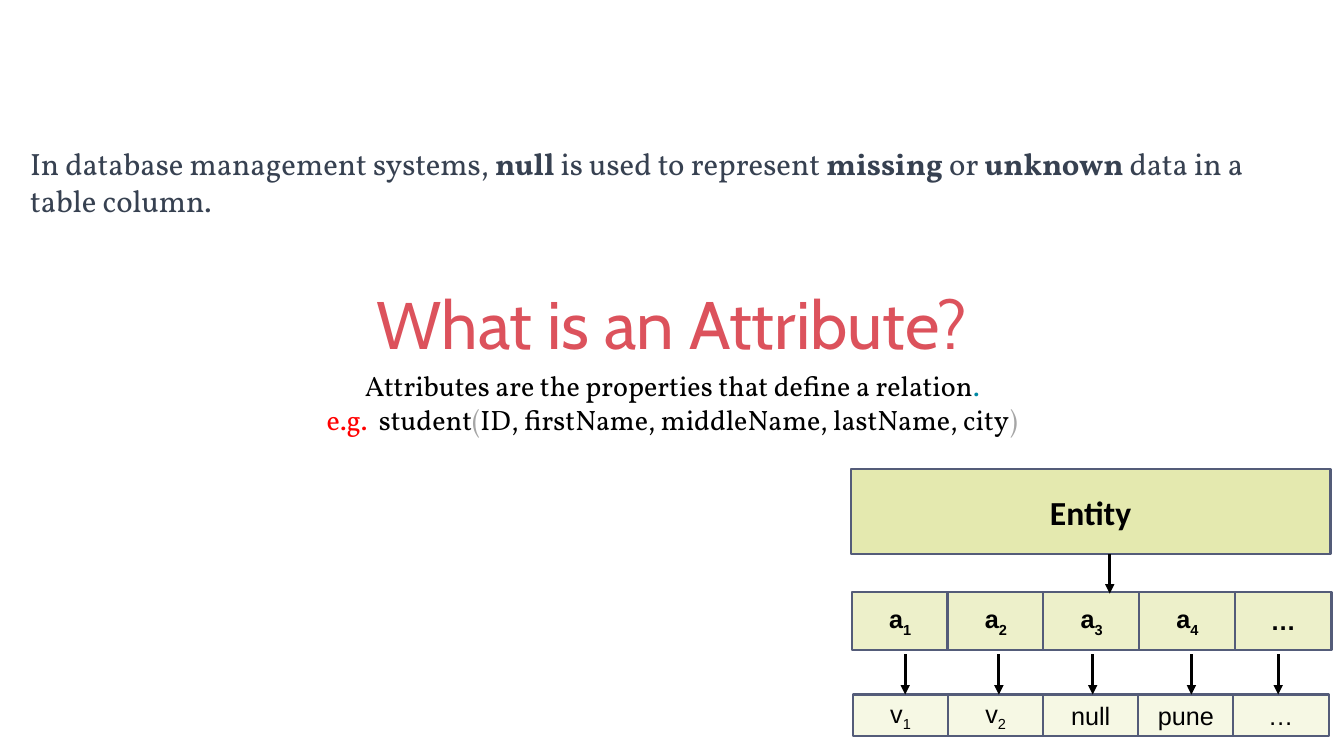
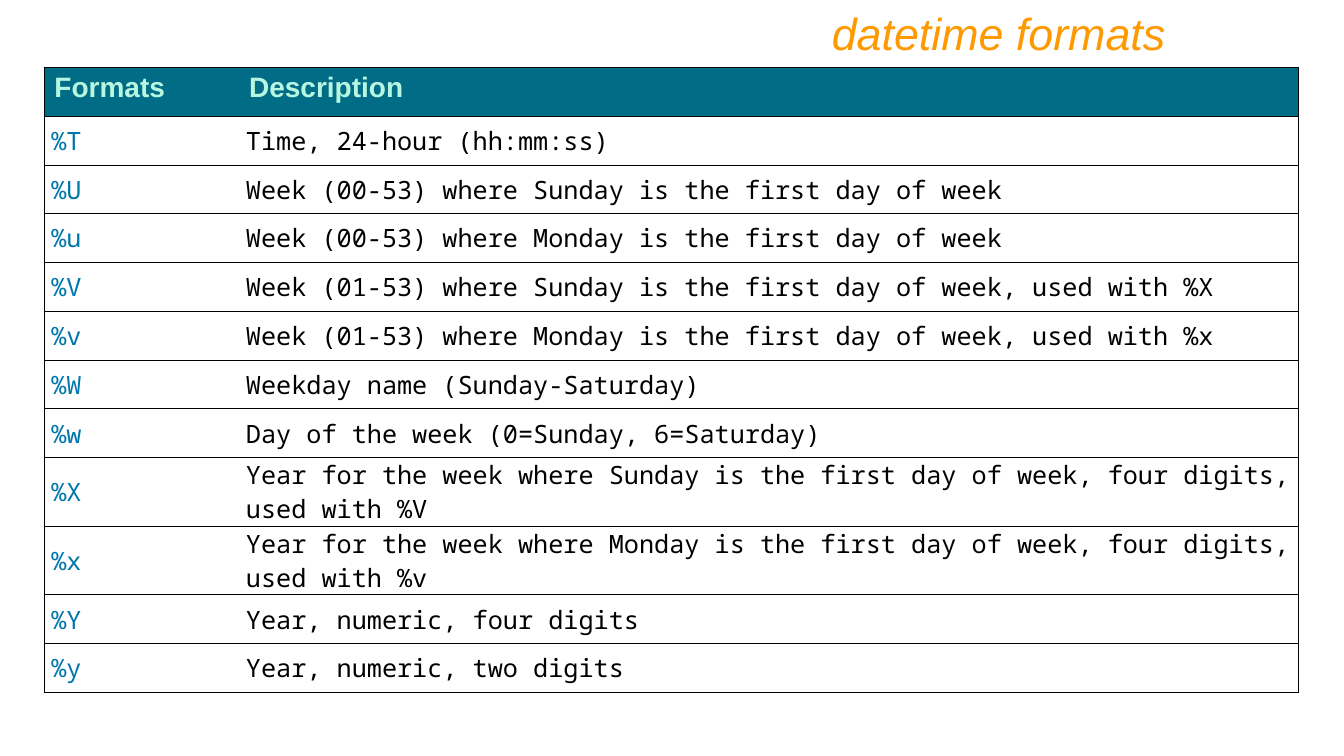
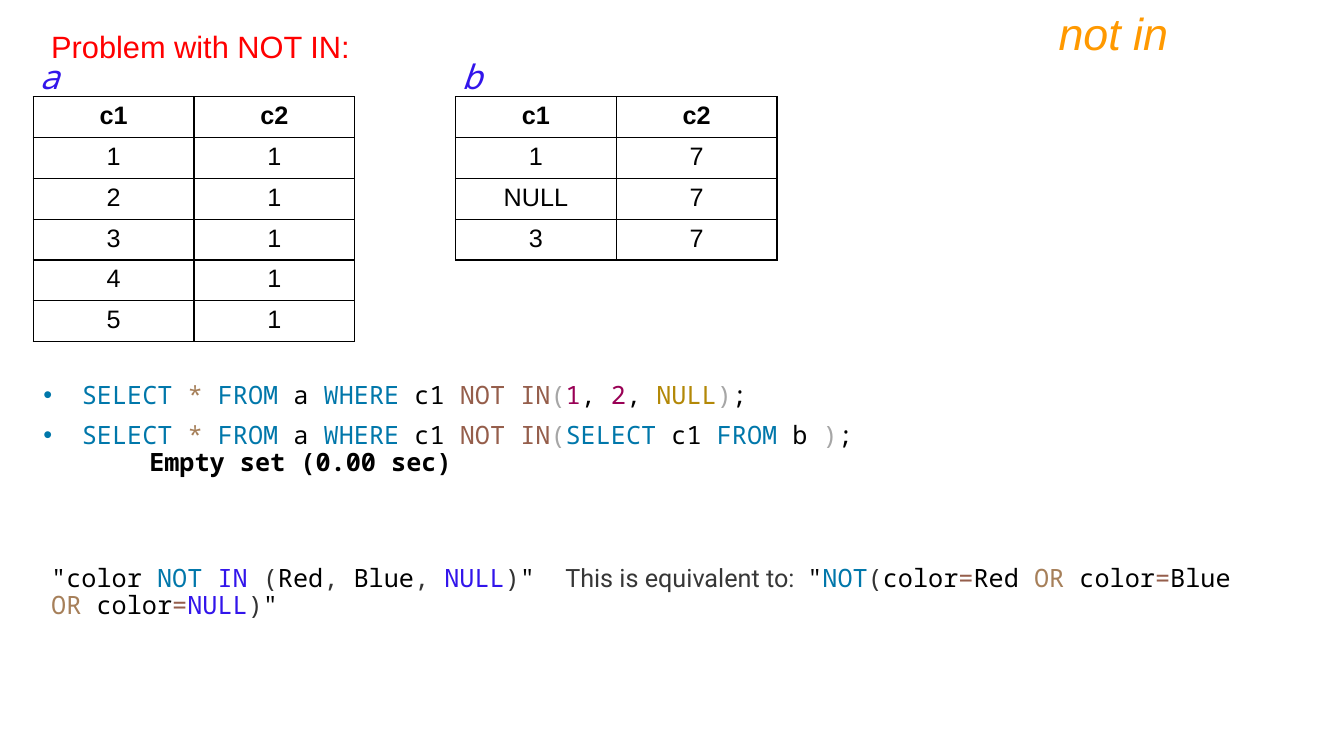
from pptx import Presentation
from pptx.dml.color import RGBColor
from pptx.enum.shapes import MSO_CONNECTOR, MSO_SHAPE
from pptx.enum.text import MSO_ANCHOR, MSO_AUTO_SIZE, PP_ALIGN
from pptx.oxml.ns import qn
from pptx.util import Pt
from lxml import etree

LEFT, CENTER, RIGHT = PP_ALIGN.LEFT, PP_ALIGN.CENTER, PP_ALIGN.RIGHT
TOP, MIDDLE = MSO_ANCHOR.TOP, MSO_ANCHOR.MIDDLE
RECT, STRAIGHT = MSO_SHAPE.RECTANGLE, MSO_CONNECTOR.STRAIGHT
NO_FIT = MSO_AUTO_SIZE.NONE
TITLE_AND_BODY, TITLE_ONLY = 1, 5

COLORS = {
    "black": "000000", "red": "FF0000", "coral": "DC525C", "orange": "FF9900",
    "slate": "374151", "teal": "0089A4", "paren": "A6A6A6", "keyword": "0077AA",
    "star": "A67F59", "operator": "955E4B", "number": "990055", "null": "B38807",
    "violet": "3215EB", "gray": "333333", "prose": "373737",
    "header": "006C86", "header_text": "B7F7E2", "outline": "545C79",
    "entity": "E4E9AF", "attribute": "EDF0CA", "value": "F6F8E4",
}

ARIAL = {"name": "Arial", "size": Pt(18)}
ARIAL_BOLD = {**ARIAL, "bold": True}
MONO = {"name": "Noto Sans Mono", "size": Pt(18)}
LABEL = {"name": "Noto Sans Mono", "size": Pt(24), "italic": True}
SERIF = {"name": "Vollkorn", "size": Pt(20)}
SERIF_LARGE = {"name": "Vollkorn", "size": Pt(22)}
HEADING = {"name": "Cabin", "size": Pt(48)}
TOPIC = {"name": "Arial", "size": Pt(32), "italic": True}
ENTITY = {"name": "Calibri", "size": Pt(24), "bold": True}
TABLE_HEAD = {"name": "Arial", "size": Pt(20), "bold": True}
PROBLEM = {"name": "Arial", "size": Pt(22)}
BOLD = {"bold": True}

NULL_NOTE = [[
    ("In database management systems, ", "slate"), ("null", "slate", BOLD),
    (" is used to represent ", "slate"), ("missing", "slate", BOLD),
    (" or ", "slate"), ("unknown", "slate", BOLD),
    (" data in a table column.", "slate"),
]]
ATTRIBUTE_NOTE = [
    [("Attributes are the properties that define a relation", "black"), (".", "teal")],
    [("e.g.  ", "red"), ("student", "black"), ("(", "paren"),
     ("ID, firstName, middleName, lastName, city", "black"), (")", "paren")],
]
CELL_ROWS = [
    {"labels": ["a1", "a2", "a3", "a4", "…"], "fill": "attribute", "font": ARIAL_BOLD,
     "left": 608.4, "top": 422.6, "step": 68.4, "width": 69.1, "height": 41.8},
    {"labels": ["v1", "v2", "null", "pune", "…"], "fill": "value", "font": ARIAL,
     "left": 609.1, "top": 496.1, "step": 67.9, "width": 68.4, "height": 29.5},
]
ENTITY_ARROW = (792.7, 396, 424)
VALUE_ARROWS = [(x, 467.3, 496.1) for x in (646.6, 713.5, 780.5, 851, 913)]

FORMATS = [
    ("Formats", "Description"),
    ("%T", "Time, 24-hour (hh:mm:ss)"),
    ("%U", "Week (00-53) where Sunday is the first day of week"),
    ("%u", "Week (00-53) where Monday is the first day of week"),
    ("%V", "Week (01-53) where Sunday is the first day of week, used with %X"),
    ("%v", "Week (01-53) where Monday is the first day of week, used with %x"),
    ("%W", "Weekday name (Sunday-Saturday)"),
    ("%w", "Day of the week (0=Sunday, 6=Saturday)"),
    ("%X", "Year for the week where Sunday is the first day of week, four digits, used with %V"),
    ("%x", "Year for the week where Monday is the first day of week, four digits, used with %v"),
    ("%Y", "Year, numeric, four digits"),
    ("%y", "Year, numeric, two digits"),
]

TABLES = [
    ("a", 20.9, 23.8, [("c1", "c2"), ("1", "1"), ("2", "1"), ("3", "1"), ("4", "1"), ("5", "1")]),
    ("b", 322.6, 325.4, [("c1", "c2"), ("1", "7"), ("NULL", "7"), ("3", "7")]),
]
SELECT_FROM_A = [
    ("SELECT ", "keyword"), ("* ", "star"), ("FROM", "keyword"), (" a ", "black"),
    ("WHERE", "keyword"), (" c1 ", "black"), ("NOT IN", "operator"), ("(", "paren"),
]
END = [(")", "paren"), (";", "black")]
QUERIES = [
    SELECT_FROM_A + [("1", "number"), (", ", "black"), ("2", "number"),
                     (", ", "black"), ("NULL", "null")] + END,
    SELECT_FROM_A + [("SELECT ", "keyword"), ("c1", "black"), (" FROM ", "keyword"),
                     ("b ", "black")] + END,
    [("Empty set (0.00 sec)", "black", BOLD)],
]
EQUIVALENT = [[
    ('"color ', "black"), ("NOT ", "keyword"), ("IN ", "violet"), ("(", "gray"),
    ("Red", "black"), (", ", "gray"), ("Blue", "black"), (", ", "gray"),
    ("NULL", "violet"), (")", "gray"), ('"  ', "black"),
    ("This is equivalent to:  ", "prose", {"name": "Roboto"}),
    ('"', "black"), ("NOT", "keyword"), ("(", "gray"),
    ("color", "black"), ("=", "operator"), ("Red ", "black"), ("OR ", "star"),
    ("color", "black"), ("=", "operator"), ("Blue ", "black"), ("OR ", "star"),
    ("color", "black"), ("=", "operator"), ("NULL", "violet"), (")", "gray"), ('"', "black"),
]]


def rgb(key):
    return RGBColor.from_string(COLORS[key])


def set_attrs(obj, values):
    for name, value in values.items():
        setattr(obj, name, value)


def write(tf, paragraphs, font, align=LEFT, anchor=TOP, spacing=1.0):
    set_attrs(tf, {"word_wrap": True, "auto_size": NO_FIT, "vertical_anchor": anchor})
    write_paragraphs(tf, paragraphs, font, align, spacing)


def write_paragraphs(tf, paragraphs, font, align=LEFT, spacing=1.0):
    for i, runs in enumerate(paragraphs):
        p = tf.add_paragraph() if i else tf.paragraphs[0]
        set_attrs(p, {"alignment": align, "line_spacing": spacing, "space_before": Pt(0)})
        for text, color, *extra in runs:
            r = p.add_run()
            r.text = text
            set_attrs(r.font, {**font, **(extra[0] if extra else {})})
            r.font.color.rgb = rgb(color)


def place(sp, box):
    set_attrs(sp, dict(zip(("left", "top", "width", "height"), map(Pt, box))))


def add_text(s, box, paragraphs, font, **layout):
    sp = s.shapes.add_textbox(*map(Pt, box))
    write(sp.text_frame, paragraphs, font, **layout)


def add_title(s, text, color, font, box, align):
    place(s.shapes.title, box)
    write(s.shapes.title.text_frame, [[(text, color)]], font, align=align, anchor=MIDDLE)


def add_topic(s, text, left):
    add_title(s, text, "orange", TOPIC, (left, 0, 720, 46), RIGHT)


def add_box(s, box, fill, runs, font):
    sp = s.shapes.add_shape(RECT, *map(Pt, box))
    sp.shadow.inherit = False
    sp.fill.solid()
    sp.fill.fore_color.rgb = rgb(fill)
    sp.line.color.rgb = rgb("outline")
    sp.line.width = Pt(1.5)
    write(sp.text_frame, [runs], font, align=CENTER, anchor=MIDDLE)
    return sp


def add_arrow(s, x, top, bottom):
    line = s.shapes.add_connector(STRAIGHT, Pt(x), Pt(top), Pt(x), Pt(bottom))
    line.line.color.rgb = rgb("black")
    line.line.width = Pt(2.25)
    etree.SubElement(line.line._get_or_add_ln(), qn("a:tailEnd"), type="triangle")
    etree.SubElement(line._element.spPr, qn("a:effectLst"))


def set_borders(cell, width, sides):
    tcPr = cell._tc.get_or_add_tcPr()
    for side in "LRTB":
        ln = etree.SubElement(tcPr, qn("a:ln" + side), w=str(Pt(width)))
        if side in sides:
            fill = etree.SubElement(ln, qn("a:solidFill"))
            etree.SubElement(fill, qn("a:srgbClr"), val=COLORS["black"])
        else:
            etree.SubElement(ln, qn("a:noFill"))


def add_grid(s, left, top, widths, row_height, rows, border, style):
    frame = s.shapes.add_table(len(rows), len(widths), Pt(left), Pt(top),
                               Pt(sum(widths)), Pt(row_height * len(rows)))
    table = frame.table
    set_attrs(table, {"first_row": False, "horz_banding": False})
    for column, width in zip(table.columns, widths):
        column.width = Pt(width)
    for i, row in enumerate(rows):
        table.rows[i].height = Pt(row_height)
        for j, text in enumerate(row):
            cell = table.cell(i, j)
            look = style(i, j)
            set_borders(cell, border, look.get("sides", "LRTB"))
            if "fill" in look:
                cell.fill.solid()
                cell.fill.fore_color.rgb = rgb(look["fill"])
            else:
                cell.fill.background()
            set_attrs(cell, look.get("cell", {}))
            write_paragraphs(cell.text_frame, [[(text, look["color"])]],
                             look["font"], look.get("align", LEFT))


def format_style(i, j):
    sides = "RTB" if j else "LTB"
    if i == 0:
        return {"sides": sides, "fill": "header", "color": "header_text", "font": TABLE_HEAD}
    return {"sides": sides, "color": "black" if j else "keyword", "font": MONO,
            "cell": {"vertical_anchor": MIDDLE, "margin_left": Pt(5), "margin_right": Pt(5),
                     "margin_top": 0, "margin_bottom": 0}}


def data_style(i, j):
    return {"color": "black", "font": ARIAL if i else ARIAL_BOLD, "align": CENTER}


def set_bullet(p, indent, hanging, char=None):
    pPr = p._p.get_or_add_pPr()
    pPr.set("marL", str(Pt(indent)))
    pPr.set("indent", str(Pt(-hanging)))
    if char:
        etree.SubElement(pPr, qn("a:buFont"), typeface="Arial")
        etree.SubElement(pPr, qn("a:buChar"), char=char)
    else:
        etree.SubElement(pPr, qn("a:buNone"))


def attribute_slide(prs):
    s = prs.slides.add_slide(prs.slide_layouts[TITLE_ONLY])
    add_title(s, "What is an Attribute?", "coral", HEADING, (131.8, 194.4, 696.2, 72), CENTER)
    add_text(s, (205.2, 260, 550, 55.4), ATTRIBUTE_NOTE, SERIF, align=CENTER)
    add_text(s, (14.4, 100, 904.3, 60.5), NULL_NOTE, SERIF_LARGE)
    add_box(s, (607.7, 334.8, 342.7, 61.2), "entity", [("Entity", "black")], ENTITY)
    for row in CELL_ROWS:
        for i, label in enumerate(row["labels"]):
            stem = label.rstrip("1234")
            runs = [(part, "black") for part in (stem, label[len(stem):]) if part]
            box = (row["left"] + i * row["step"], row["top"], row["width"], row["height"])
            sp = add_box(s, box, row["fill"], runs, row["font"])
            for r in sp.text_frame.paragraphs[0].runs[1:]:
                r._r.get_or_add_rPr().set("baseline", "-25000")
    for arrow in [ENTITY_ARROW] + VALUE_ARROWS:
        add_arrow(s, *arrow)


def formats_slide(prs):
    s = prs.slides.add_slide(prs.slide_layouts[TITLE_ONLY])
    add_topic(s, "datetime formats", 120)
    add_grid(s, 31.7, 48.2, (139, 756.7), 34.86, FORMATS, 0.75, format_style)


def not_in_slide(prs):
    s = prs.slides.add_slide(prs.slide_layouts[TITLE_AND_BODY])
    add_topic(s, "not in", 121.7)
    add_text(s, (29.5, 2.9, 400, 42.5), [[("Problem with NOT IN:", "red")]], PROBLEM, spacing=1.5)
    for name, label_left, left, rows in TABLES:
        add_grid(s, left, 69.1, (114.8, 114.8), 29.16, rows, 1, data_style)
        add_text(s, (label_left, 36.7, 28, 36), [[(name, "violet")]], LABEL)
    body = s.placeholders[1]
    place(body, (23.8, 270, 935, 82))
    write(body.text_frame, QUERIES, MONO, spacing=0.9)
    first, second, result = body.text_frame.paragraphs
    second.space_before = Pt(8.8)
    for p in (first, second):
        set_bullet(p, 27.4, 27.4, "•")
    set_bullet(result, 75.6, 0)
    add_text(s, (29.5, 400.3, 859, 52), EQUIVALENT, MONO, spacing=0.9)


def main():
    prs = Presentation()
    prs.slide_width, prs.slide_height = Pt(960), Pt(540)
    attribute_slide(prs)
    formats_slide(prs)
    not_in_slide(prs)
    prs.save("out.pptx")


if __name__ == "__main__":
    main()
